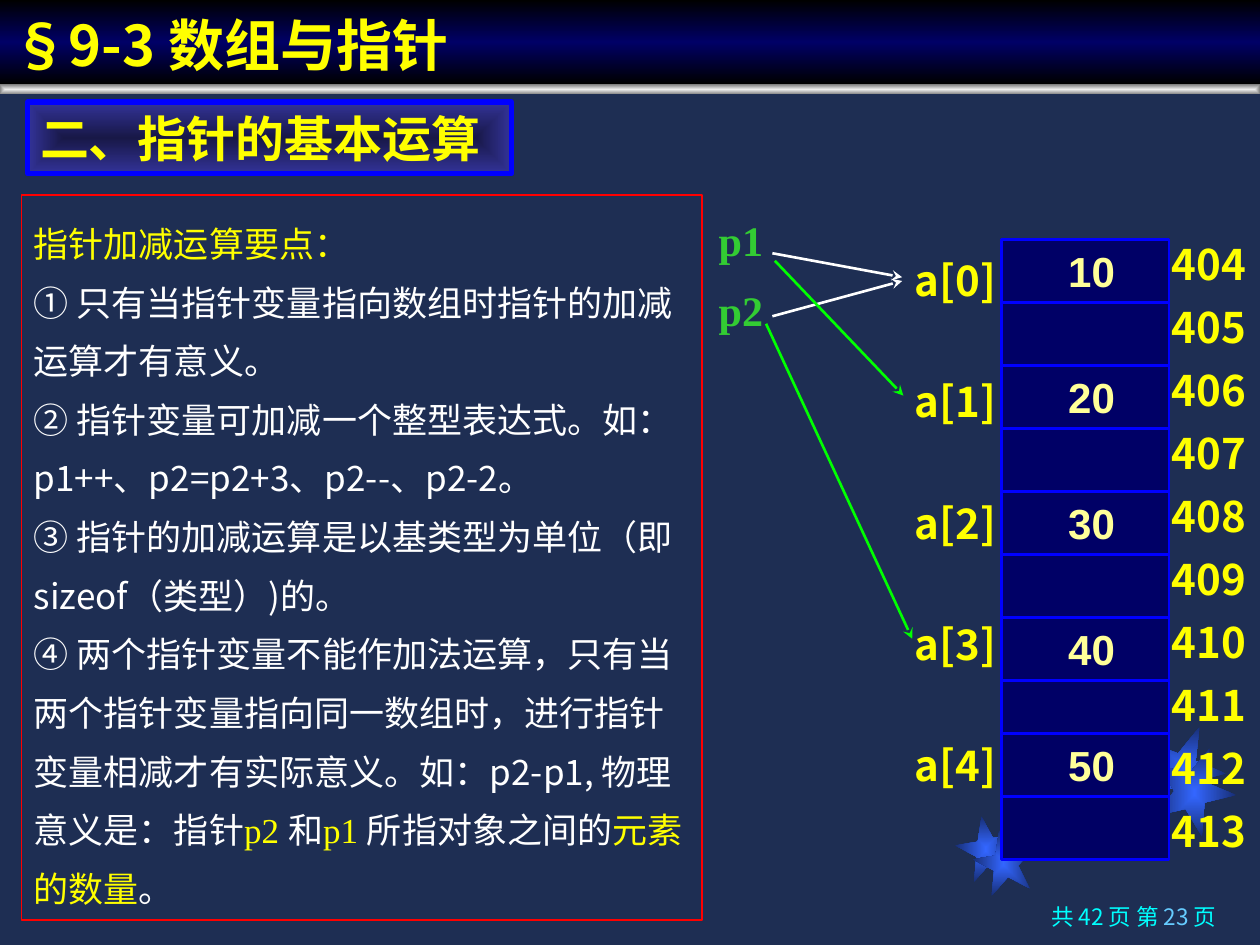
from lxml import etree
from pptx import Presentation
from pptx.dml.color import RGBColor
from pptx.enum import shapes, text
from pptx.oxml import ns
from pptx.util import Inches, Pt

COLORS = {
    "background": "1E2E53", "yellow": "FFFF00", "white": "FFFFFF",
    "green": "33CC33", "lime": "00FF00", "blue": "0000FF", "red": "FF0000",
    "cyan": "00FFFF", "sky": "66CCFF", "cream": "FFFF99",
    "upper cells": "000066", "lower cells": "000064",
    "star": "3366FF", "star edge": "182F76",
    "silver": "EDEDED", "gray": "808080", "black": "000000",
    "indigo": "181847", "violet": "333399",
}
CJK, SERIF, SANS = "Noto Sans CJK SC", "Times New Roman", "Arial"
LEFT, CENTER, RIGHT = (text.PP_ALIGN.LEFT, text.PP_ALIGN.CENTER,
                       text.PP_ALIGN.RIGHT)
TOP, MIDDLE, BOTTOM = (text.MSO_ANCHOR.TOP, text.MSO_ANCHOR.MIDDLE,
                       text.MSO_ANCHOR.BOTTOM)

CELL_LEFT, CELL_RIGHT, CELL_HEIGHT = 7.95, 9.28, 0.5
UPPER_TOP, LOWER_TOP = 1.9, 5.82

POINTS = [
    [("指针加减运算要点：", "yellow", CJK)],
    [("① 只有当指针变量指向数组时指针的加减\n运算才有意义。", "white", CJK)],
    [("② 指针变量可加减一个整型表达式。如：\np1++、p2=p2+3、p2--、p2-2。", "white", CJK)],
    [("③ 指针的加减运算是以基类型为单位（即\nsizeof（类型）)的。", "white", CJK)],
    [("④ 两个指针变量不能作加法运算，只有当\n"
      "两个指针变量指向同一数组时，进行指针变量相减才有实际意义。如：p2-p1, ", "white", CJK),
     ("物理意义是：指针", "white", SERIF), ("p2 ", "yellow", SERIF),
     ("和", "white", SERIF), ("p1 ", "yellow", SERIF),
     ("所指对象之间的", "white", SERIF), ("元素的数量", "yellow", SERIF),
     ("。", "white", SERIF)],
]
SMALL_STAR = [(7.58, 6.71), (7.76, 6.68), (7.79, 6.48), (7.88, 6.65),
              (8.07, 6.62), (7.94, 6.76), (8.03, 6.94), (7.86, 6.85),
              (7.73, 7), (7.75, 6.8)]
LARGE_STAR = [(9.11, 5.89), (9.35, 5.98), (9.52, 5.77), (9.49, 6.04),
              (9.73, 6.14), (9.48, 6.2), (9.46, 6.47), (9.33, 6.25),
              (9.07, 6.31), (9.24, 6.11)]


def rgb(color):
    return RGBColor.from_string(COLORS[color])


def set_gradient(shape, colors, angle=None):
    """Spread colors evenly, along an angle or outwards from the middle."""
    shape.fill.solid()
    props = shape._element.spPr
    gradient = etree.Element(ns.qn("a:gradFill"), rotWithShape="1")
    stops = etree.SubElement(gradient, ns.qn("a:gsLst"))
    for i, color in enumerate(colors):
        stop = etree.SubElement(stops, ns.qn("a:gs"),
                                pos=str(100000 * i // (len(colors) - 1)))
        etree.SubElement(stop, ns.qn("a:srgbClr"), val=COLORS[color])
    if angle is None:
        path = etree.SubElement(gradient, ns.qn("a:path"))
        path.set("path", "rect")
        etree.SubElement(path, ns.qn("a:fillToRect"),
                         {side: "50000" for side in "ltrb"})
    else:
        etree.SubElement(gradient, ns.qn("a:lin"), ang=str(angle * 60000),
                         scaled="0")
    props.replace(props.find(ns.qn("a:solidFill")), gradient)


def add_box(slide, at, fill=None, gradient=None, angle=None, line=None, width=1.5):
    box = slide.shapes.add_shape(shapes.MSO_SHAPE.RECTANGLE, *map(Inches, at))
    box.shadow.inherit = False
    if gradient:
        set_gradient(box, gradient, angle)
    elif fill:
        box.fill.solid()
        box.fill.fore_color.rgb = rgb(fill)
    else:
        box.fill.background()
    if line:
        box.line.color.rgb = rgb(line)
        box.line.width = Pt(width)
    else:
        box.line.fill.background()
    return box


def write(shape, paragraphs, size, bold=False, align=LEFT, anchor=TOP,
          wrap=True, spacing=None, before=0):
    """Fill a shape with paragraphs made of (words, color, font) runs."""
    frame = shape.text_frame
    frame.auto_size = text.MSO_AUTO_SIZE.NONE
    frame.word_wrap, frame.vertical_anchor = wrap, anchor
    for i, runs in enumerate(paragraphs):
        paragraph = frame.add_paragraph() if i else frame.paragraphs[0]
        layout = {"alignment": align, "line_spacing": spacing,
                  "space_before": Pt(before) if i and before else None}
        for key, value in layout.items():
            setattr(paragraph, key, value)
        for words, color, font in runs:
            for j, part in enumerate(words.split("\n")):
                if j:
                    paragraph.add_line_break()
                run = paragraph.add_run()
                run.text = part
                look = {"size": Pt(size), "bold": bold, "name": font}
                for key, value in look.items():
                    setattr(run.font, key, value)
                run.font.color.rgb = rgb(color)
                etree.SubElement(run.font._element, ns.qn("a:ea"), typeface=CJK)


def add_label(slide, at, paragraphs, size, **layout):
    write(slide.shapes.add_textbox(*map(Inches, at)), paragraphs, size, **layout)


def add_line(slide, start, end, color, arrow=False):
    line = slide.shapes.add_connector(shapes.MSO_CONNECTOR.STRAIGHT,
                                      *map(Inches, start + end))
    line.line.color.rgb = rgb(color)
    line.line.width = Pt(1.5)
    if arrow:
        etree.SubElement(line.line._get_or_add_ln(), ns.qn("a:tailEnd"),
                         type="stealth")
    etree.SubElement(line._element.spPr, ns.qn("a:effectLst"))
    return line


def add_star(slide, corners, dx, dy):
    moved = [(Inches(x + dx), Inches(y + dy)) for x, y in corners]
    builder = slide.shapes.build_freeform(*moved[0])
    builder.add_line_segments(moved[1:], close=True)
    star = builder.convert_to_shape()
    star.shadow.inherit = False
    set_gradient(star, ["star", "star edge"])
    star.line.fill.background()


def add_memory(slide):
    """Draw the array cells with their addresses, element names and values."""
    width = CELL_RIGHT - CELL_LEFT
    addresses = [[(str(n), "yellow", CJK)] for n in range(404, 414)]
    add_label(slide, (9.2, 1.74, 0.8, 5), addresses, 24, bold=True,
              wrap=False, spacing=Pt(36))
    lower = add_box(slide, (CELL_LEFT, LOWER_TOP, width, 2 * CELL_HEIGHT),
                    fill="lower cells", line="blue")
    add_box(slide, (CELL_LEFT, UPPER_TOP, width, LOWER_TOP - UPPER_TOP),
            fill="upper cells", line="blue")
    for row in range(1, 8):
        y = UPPER_TOP + row * CELL_HEIGHT
        add_line(slide, (CELL_LEFT, y), (CELL_RIGHT, y), "blue")
    y = LOWER_TOP + CELL_HEIGHT
    divider = add_line(slide, (CELL_LEFT, y), (CELL_RIGHT, y), "blue")
    divider.begin_connect(lower, 1)
    divider.end_connect(lower, 3)

    names = [[(f"a[{i}]", "yellow", CJK)] for i in range(5)]
    add_label(slide, (7.16, 1.9, 1.05, 4.75), names, 24, bold=True,
              wrap=False, spacing=Pt(34), before=35.3)
    tops = [UPPER_TOP + 2 * i * CELL_HEIGHT for i in range(4)] + [LOWER_TOP]
    for i, top in enumerate(tops, 1):
        add_label(slide, (8.38, top, 0.57, CELL_HEIGHT),
                  [[(str(10 * i), "cream", SANS)]], 24, bold=True, wrap=False)


def main():
    prs = Presentation()
    prs.slide_width, prs.slide_height = Inches(10), Inches(7.5)
    slide = prs.slides.add_slide(prs.slide_layouts[6])
    slide.background.fill.solid()
    slide.background.fill.fore_color.rgb = rgb("background")

    for dx, dy in ((0, 0), (0.14, 0.11)):
        add_star(slide, SMALL_STAR, dx, dy)
    for dx, dy in ((0, 0), (0.08, 0.17)):
        add_star(slide, LARGE_STAR, dx, dy)
    add_box(slide, (0, 0.67, 10, 0.08), gradient=["silver", "gray"])
    add_label(slide, (7.12, 7.14, 2.63, 0.36),
              [[("共 42 页 第 ", "cyan", CJK), ("23 ", "sky", CJK),
                ("页", "cyan", CJK)]], 12.9, align=RIGHT, spacing=0.9)
    heading = add_box(slide, (0.22, 0.81, 3.84, 0.57),
                      gradient=["indigo", "violet"], line="blue", width=3)
    write(heading, [[("二、指针的基本运算", "yellow", SERIF)]], 28, bold=True,
          anchor=MIDDLE)

    add_memory(slide)
    for name, top in (("p1", 1.57), ("p2", 2.13)):
        add_label(slide, (5.47, top, 0.82, 0.66), [[(name, "green", SERIF)]],
                  24, bold=True, align=CENTER, anchor=MIDDLE, wrap=False)
    rules = add_box(slide, (0.17, 1.55, 5.4, 5.75), line="red", width=1)
    write(rules, POINTS, 20, anchor=MIDDLE, spacing=Pt(33.5))
    for start, end, color in (((6.13, 2.01), (7.16, 2.2), "white"),
                              ((6.13, 2.51), (7.16, 2.23), "white"),
                              ((6.08, 2.57), (7.24, 5.07), "lime"),
                              ((6.15, 2.07), (7.17, 3.14), "lime")):
        add_line(slide, start, end, color, arrow=True)

    title = add_box(slide, (0, 0, 10, 0.67), angle=90,
                    gradient=["black", "upper cells", "black"])
    write(title, [[("§9-3 数组与指针", "yellow", CJK)]], 32, bold=True,
          anchor=BOTTOM)
    prs.save("out.pptx")


if __name__ == "__main__":
    main()
